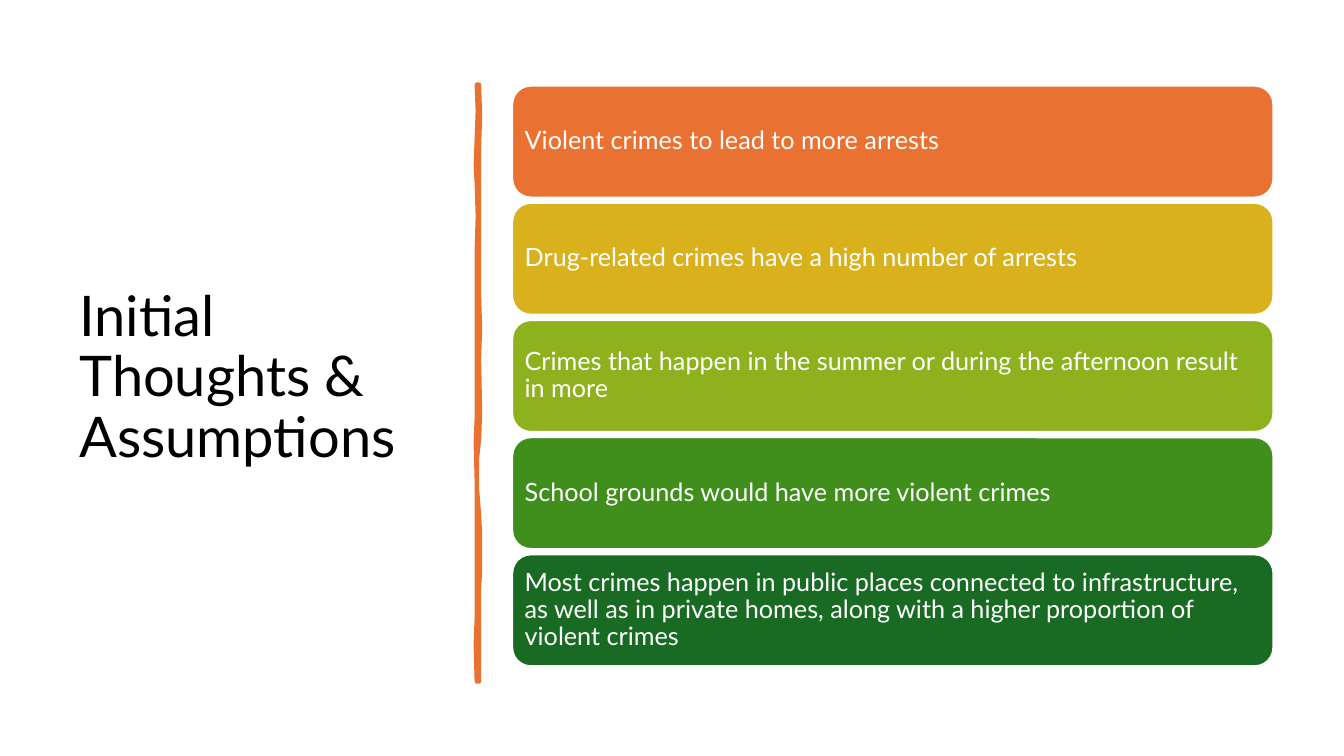
from pptx import Presentation
from pptx.dml.color import RGBColor
from pptx.enum.shapes import MSO_SHAPE
from pptx.enum.text import MSO_ANCHOR, PP_ALIGN
from pptx.util import Pt

PX = 9144
SLIDE = (1333, 750)
FONT = "Lato"

TITLE = "Initial Thoughts & Assumptions"
TITLE_BOX = (69, 70, 374, 611)

ASSUMPTIONS = [
    ("Violent crimes to lead to more arrests", "E97132"),
    ("Drug-related crimes have a high number of arrests", "D8B11D"),
    ("Crimes that happen in the summer or during the afternoon result in more", "8EB21E"),
    ("School grounds would have more violent crimes", "408E1C"),
    ("Most crimes happen in public places connected to infrastructure, "
     "as well as in private homes, along with a higher proportion of violent crimes", "196B24"),
]
CARD_LEFT, CARD_WIDTH, CARD_HEIGHT = 508, 755, 111
CARDS_TOP, CARDS_BOTTOM = 85, 661
CARD_INSET = 7

DIVIDER_COLOR = "E97132"
DIVIDER_RIGHT = [
    (475, 84), (476, 115), (475, 146), (475, 226), (475, 294), (476, 325),
    (475, 356), (476, 410), (475, 436), (473, 455), (473, 485), (475, 510),
    (476, 530), (476, 565), (475, 584), (475, 676),
]
DIVIDER_LEFT = [
    (473, 676), (472, 640), (473, 613), (473, 557), (473, 477), (472, 440),
    (473, 415), (473, 335), (473, 250), (474, 215), (473, 181), (472, 165),
    (474, 110), (473, 84),
]


def px(*lengths):
    return [round(length * PX) for length in lengths]


def rgb(color):
    return RGBColor.from_string(color)


def paint(shape, fill, line, width):
    shape.shadow.inherit = False
    shape.fill.solid()
    shape.fill.fore_color.rgb = rgb(fill)
    shape.line.color.rgb = rgb(line)
    shape.line.width = Pt(width)


def write(shape, text, size, color, inset):
    frame = shape.text_frame
    frame.word_wrap = True
    frame.vertical_anchor = MSO_ANCHOR.MIDDLE
    frame.margin_left, frame.margin_right = px(inset, inset)
    frame.margin_top, frame.margin_bottom = px(inset, inset)
    frame.text = text
    paragraph = frame.paragraphs[0]
    paragraph.alignment = PP_ALIGN.LEFT
    paragraph.line_spacing = 0.9
    font = paragraph.runs[0].font
    font.name = FONT
    font.size = Pt(size)
    font.color.rgb = rgb(color)


def main():
    deck = Presentation()
    deck.slide_width, deck.slide_height = px(*SLIDE)
    slide = deck.slides.add_slide(deck.slide_layouts[6])

    title = slide.shapes.add_textbox(*px(*TITLE_BOX))
    write(title, TITLE, 40, "000000", 10)

    outline = DIVIDER_RIGHT + DIVIDER_LEFT
    builder = slide.shapes.build_freeform(*outline[0], scale=PX)
    builder.add_line_segments(outline[1:], close=True)
    divider = builder.convert_to_shape()
    paint(divider, DIVIDER_COLOR, DIVIDER_COLOR, 3.25)

    pitch = (CARDS_BOTTOM - CARDS_TOP - CARD_HEIGHT) / (len(ASSUMPTIONS) - 1)
    for row, (assumption, color) in enumerate(ASSUMPTIONS):
        card = slide.shapes.add_shape(
            MSO_SHAPE.ROUNDED_RECTANGLE,
            *px(CARD_LEFT, CARDS_TOP + row * pitch, CARD_WIDTH, CARD_HEIGHT))
        paint(card, color, "FFFFFF", 1.5)
        write(card, assumption, 18, "FFFFFF", CARD_INSET)

    deck.save("out.pptx")


if __name__ == "__main__":
    main()
